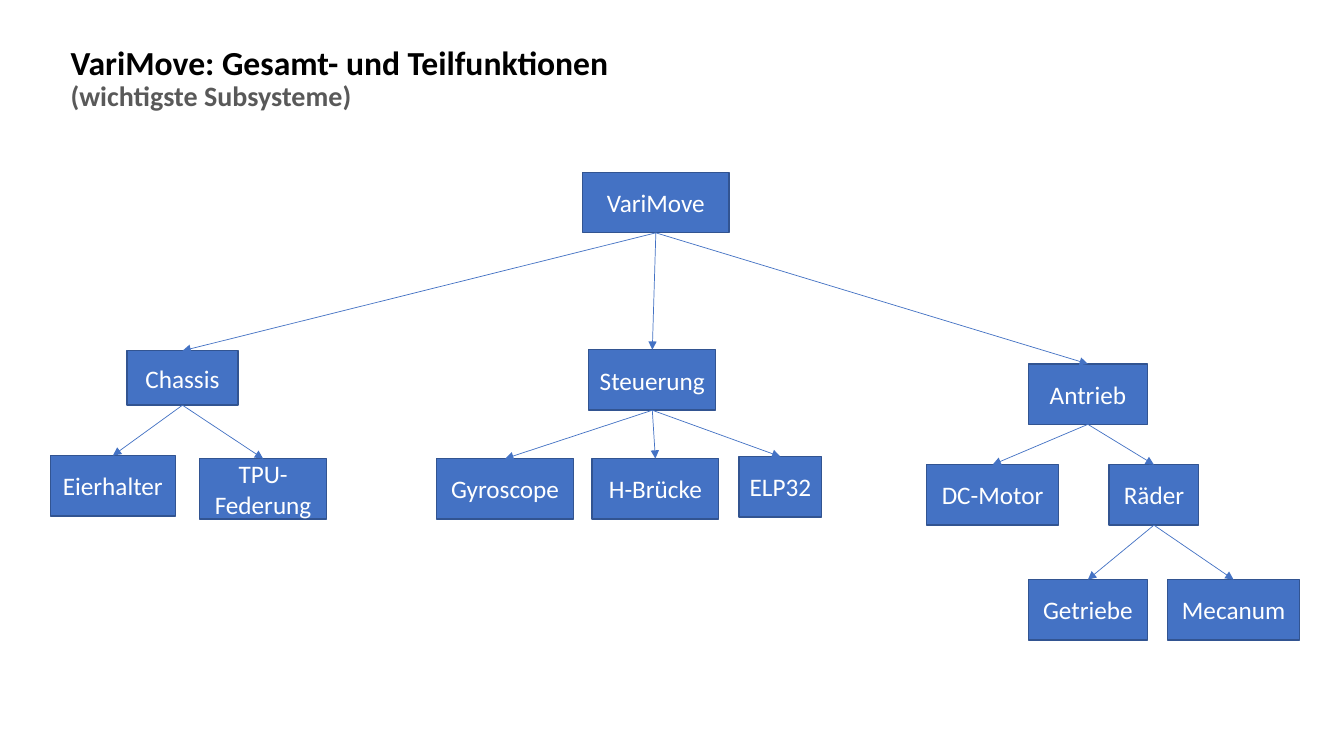
"""Build a slide with the function tree of a mobile robot."""
from lxml import etree
from pptx import Presentation
from pptx.dml.color import RGBColor
from pptx.enum.shapes import MSO_CONNECTOR, MSO_SHAPE
from pptx.enum.text import MSO_ANCHOR, MSO_AUTO_SIZE, PP_ALIGN
from pptx.oxml.ns import qn
from pptx.util import Emu, Pt

STRAIGHT = MSO_CONNECTOR.STRAIGHT
RECTANGLE = MSO_SHAPE.RECTANGLE
MIDDLE = MSO_ANCHOR.MIDDLE
NO_AUTOFIT = MSO_AUTO_SIZE.NONE
LEFT, CENTER = PP_ALIGN.LEFT, PP_ALIGN.CENTER

BLACK = RGBColor(0x00, 0x00, 0x00)
GRAY = RGBColor(0x59, 0x59, 0x59)
WHITE = RGBColor(0xFF, 0xFF, 0xFF)
BLUE = RGBColor(0x44, 0x72, 0xC4)
DARK_BLUE = RGBColor(0x32, 0x54, 0x91)

FONT = "Calibri"
EMU_PER_PX = 9144
SLIDE_SIZE = (1333, 750)
TITLE_BOX = (60, 31, 575, 96)
TITLE_RUNS = [
    ("VariMove: Gesamt- und Teilfunktionen ", 24, BLACK),
    ("(wichtigste Subsysteme)", 20, GRAY),
]
BOX_HEIGHT = 60
CHASSIS_HEIGHT = 54
TOP_SITE, BOTTOM_SITE = 0, 2

FUNCTIONS = [
    ("VariMove", None, 578, 171, 145, BOX_HEIGHT),
    ("Chassis", "VariMove", 126, 348, 110, CHASSIS_HEIGHT),
    ("Steuerung", "VariMove", 584, 347, 126, BOX_HEIGHT),
    ("Antrieb", "VariMove", 1020, 361, 118, BOX_HEIGHT),
    ("Eierhalter", "Chassis", 50, 452, 124, BOX_HEIGHT),
    ("TPU-Federung", "Chassis", 198, 455, 126, BOX_HEIGHT),
    ("Gyroscope", "Steuerung", 433, 455, 136, BOX_HEIGHT),
    ("H-Brücke", "Steuerung", 587, 455, 126, BOX_HEIGHT),
    ("ELP32", "Steuerung", 733, 453, 82, BOX_HEIGHT),
    ("DC-Motor", "Antrieb", 919, 461, 131, BOX_HEIGHT),
    ("Räder", "Antrieb", 1100, 461, 89, BOX_HEIGHT),
    ("Getriebe", "Räder", 1020, 575, 118, BOX_HEIGHT),
    ("Mecanum", "Räder", 1158, 575, 131, BOX_HEIGHT),
]


def px(length):
    return Emu(length * EMU_PER_PX)


def format_run(run, size, color, bold=False):
    run.font.name = FONT
    run.font.size = Pt(size)
    run.font.color.rgb = color
    run.font.bold = bold


def add_title(slide):
    title = slide.shapes.title
    title.left, title.top, title.width, title.height = map(px, TITLE_BOX)
    frame = title.text_frame
    frame.word_wrap = True
    frame.auto_size = NO_AUTOFIT
    frame.vertical_anchor = MIDDLE
    paragraph = frame.paragraphs[0]
    paragraph.alignment = LEFT
    paragraph.line_spacing = 0.9
    for text, size, color in TITLE_RUNS:
        run = paragraph.add_run()
        run.text = text
        format_run(run, size, color, bold=True)


def add_box(slide, text, bounds):
    box = slide.shapes.add_shape(RECTANGLE, *map(px, bounds))
    box.shadow.inherit = False
    box.fill.solid()
    box.fill.fore_color.rgb = BLUE
    box.line.color.rgb = DARK_BLUE
    box.line.width = Pt(1)
    frame = box.text_frame
    frame.text = text
    frame.word_wrap = True
    frame.vertical_anchor = MIDDLE
    paragraph = frame.paragraphs[0]
    paragraph.alignment = CENTER
    format_run(paragraph.runs[0], 18, WHITE)
    return box


def add_arrow(slide, parent, child):
    arrow = slide.shapes.add_connector(STRAIGHT, 0, 0, 0, 0)
    arrow.begin_connect(parent, BOTTOM_SITE)
    arrow.end_connect(child, TOP_SITE)
    arrow.line.color.rgb = BLUE
    arrow.line.width = Pt(0.5)
    properties = arrow.element.spPr
    line = properties.find(qn("a:ln"))
    etree.SubElement(line, qn("a:tailEnd"), type="triangle")
    etree.SubElement(properties, qn("a:effectLst"))


def main():
    presentation = Presentation()
    presentation.slide_width, presentation.slide_height = map(px, SLIDE_SIZE)
    title_only = presentation.slide_layouts[5]
    slide = presentation.slides.add_slide(title_only)
    add_title(slide)
    boxes = {name: add_box(slide, name, bounds)
             for name, parent, *bounds in FUNCTIONS}
    for name, parent, *bounds in FUNCTIONS:
        if parent:
            add_arrow(slide, boxes[parent], boxes[name])
    presentation.save("out.pptx")


if __name__ == "__main__":
    main()
